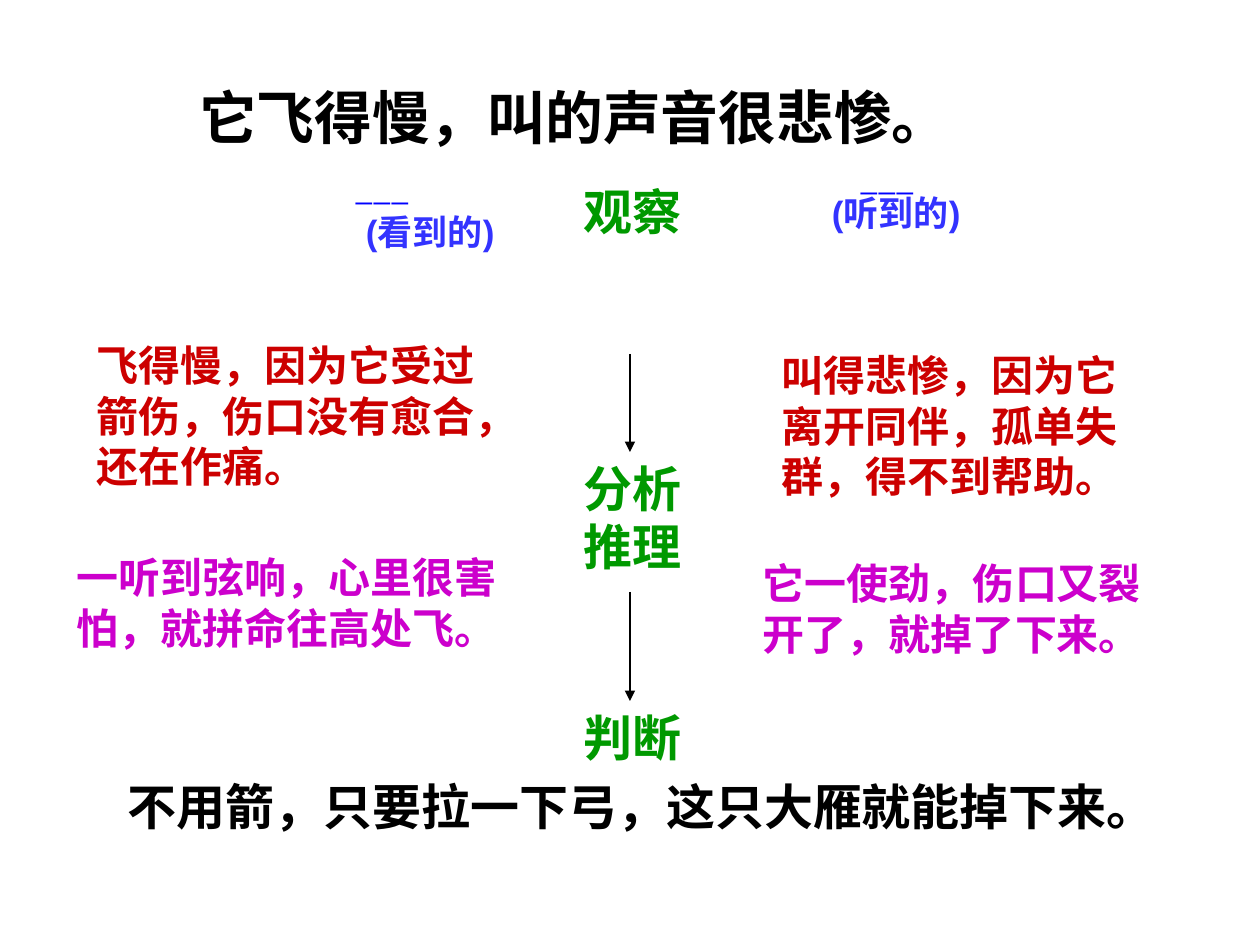
from lxml.etree import SubElement
from pptx import Presentation
from pptx.dml.color import RGBColor
from pptx.enum.shapes import MSO_CONNECTOR
from pptx.enum.text import MSO_ANCHOR, PP_ALIGN
from pptx.oxml.ns import qn
from pptx.util import Emu, Pt

PX = 914400 // 126
CJK_FONT = "Noto Sans CJK SC"
BLACK, GREEN, RED, PURPLE = "000000", "009900", "CC0000", "CC00CC"
LABEL_BLUE, RULE_BLUE = "3333FF", "0000FF"


def px(length):
    return Emu(length * PX)


def color(hex_value):
    return RGBColor.from_string(hex_value)


def write(shape, text, size, fill, font="Arial", bold=True, wrap=True, left=13, top=6):
    """Fill a shape with left-aligned text, one paragraph per line."""
    frame = shape.text_frame
    frame.word_wrap = wrap
    frame.vertical_anchor = MSO_ANCHOR.TOP
    frame.margin_left, frame.margin_right = px(left), px(13)
    frame.margin_top = frame.margin_bottom = px(top)
    for index, line in enumerate(text.split("\n")):
        para = frame.add_paragraph() if index else frame.paragraphs[0]
        para.alignment = PP_ALIGN.LEFT
        para.space_before = Pt(0)
        span = para.add_run()
        span.text = line
        span.font.name = font
        span.font.size = Pt(size)
        span.font.bold = bold
        span.font.color.rgb = color(fill)
        SubElement(span.font._element, qn("a:ea"), typeface=CJK_FONT)


def place(shape, left, top, width, height):
    shape.left, shape.top = px(left), px(top)
    shape.width, shape.height = px(width), px(height)


def add_text(page, area, text, size, fill, **style):
    box = page.shapes.add_textbox(*map(px, area))
    write(box, text, size, fill, **style)


def add_arrow(page, x, top, bottom):
    arrow = page.shapes.add_connector(
        MSO_CONNECTOR.STRAIGHT, px(x), px(top), px(x), px(bottom))
    arrow.line.color.rgb = color(BLACK)
    arrow.line.width = Pt(0.75)
    SubElement(arrow.line._get_or_add_ln(), qn("a:tailEnd"), type="triangle")
    SubElement(arrow._element.spPr, qn("a:effectLst"))


def main():
    deck = Presentation()
    deck.slide_width, deck.slide_height = px(1260), px(945)
    page = deck.slides.add_slide(deck.slide_layouts[5])

    title = page.shapes.title
    place(title, 94, 76, 1072, 100)
    write(title, "它飞得慢，叫的声音很悲惨。", 33, BLACK, font=CJK_FONT, left=105)

    for area in ((848, 155, 159, 10), (343, 165, 208, 10)):
        add_text(page, area, "___", 18, RULE_BLUE,
                 font=CJK_FONT, bold=False, wrap=False, top=4)

    add_text(page, (353, 204, 193, 55), "(看到的)", 20, LABEL_BLUE)
    add_text(page, (819, 185, 205, 55), "(听到的)", 20, LABEL_BLUE)

    observations = (
        ((84, 334, 427, 164), "飞得慢，因为它受过箭伤，伤口没有愈合，还在作痛。", RED),
        ((769, 344, 394, 164), "叫得悲惨，因为它离开同伴，孤单失群，得不到帮助。", RED),
        ((64, 546, 456, 113), "一听到弦响，心里很害怕，就拼命往高处飞。", PURPLE),
        ((750, 552, 437, 113), "它一使劲，伤口又裂开了，就掉了下来。", PURPLE),
    )
    for area, text, fill in observations:
        add_text(page, area, text, 24, fill)

    add_text(page, (115, 770, 1052, 72),
             "不用箭，只要拉一下弓，这只大雁就能掉下来。", 28, BLACK)

    steps = (("观察", 175, 200, 72), ("分析\n推理", 452, 169, 131), ("判断", 701, 175, 72))
    for text, top, width, height in steps:
        add_text(page, (571, top, width, height), text, 28, GREEN)
    for top, bottom in ((354, 452), (592, 701)):
        add_arrow(page, 630, top, bottom)

    deck.save("out.pptx")


if __name__ == "__main__":
    main()
